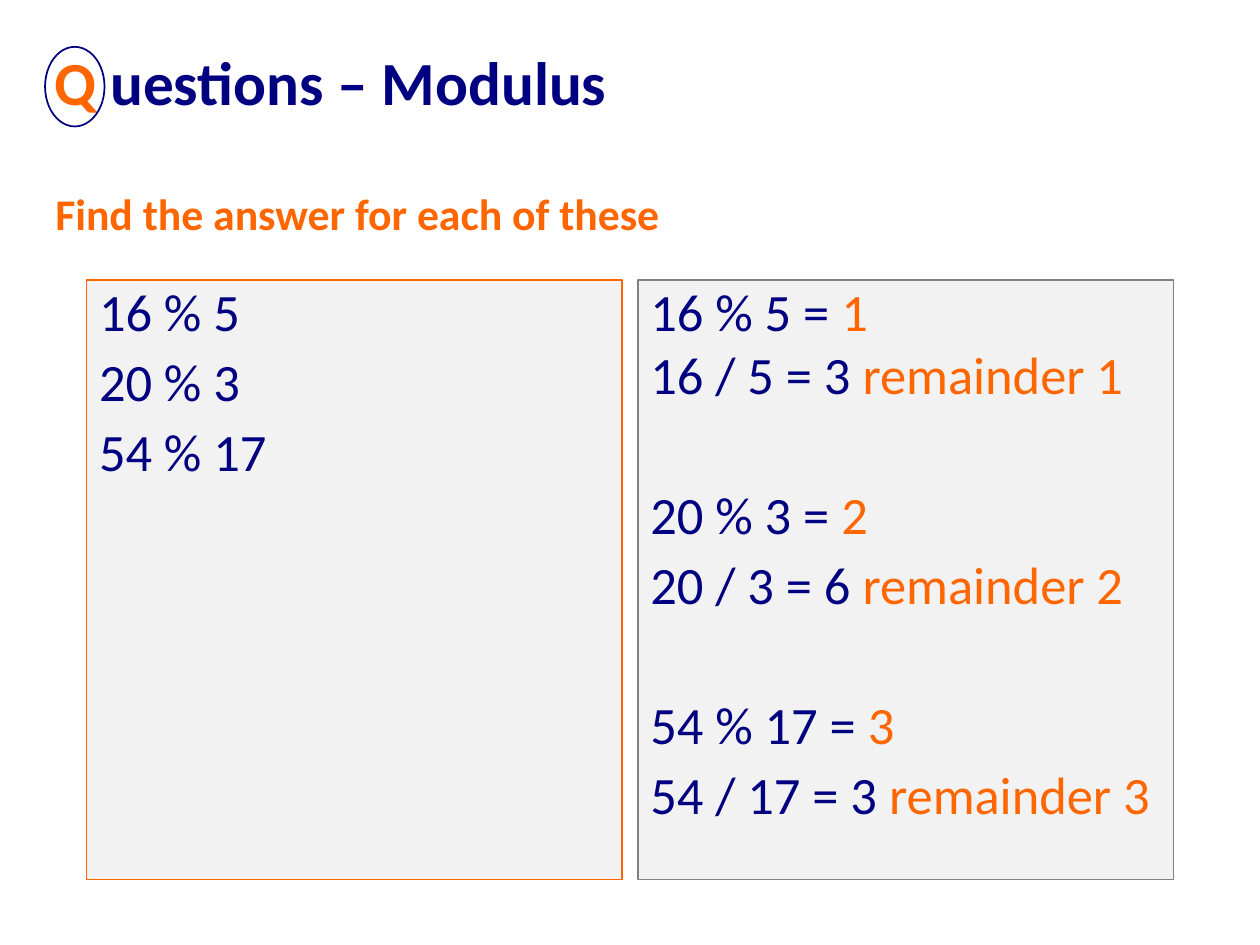
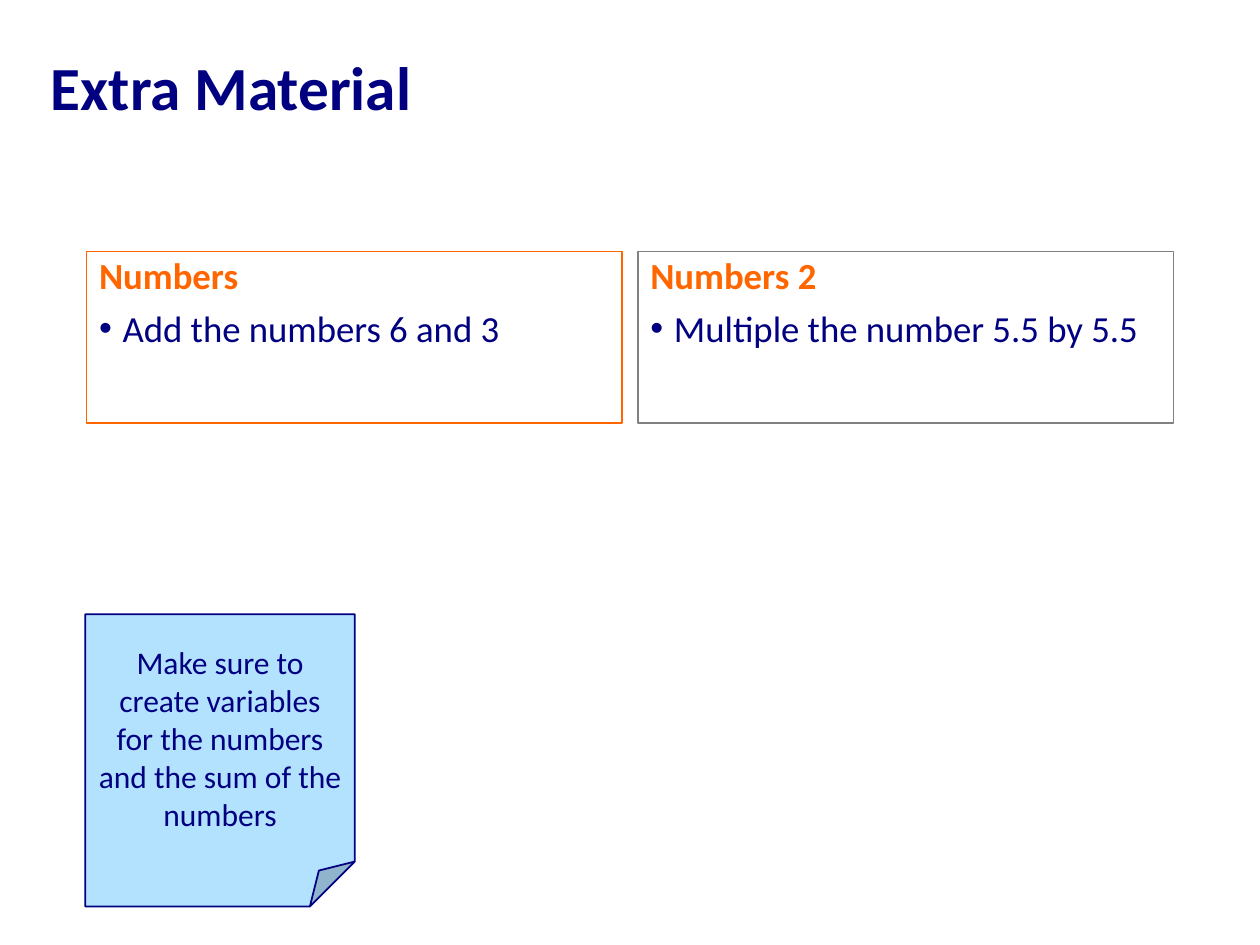
from dataclasses import dataclass
from typing import Any, NamedTuple, Optional

from lxml.etree import SubElement
from pptx import Presentation
from pptx.dml.color import RGBColor
from pptx.enum.shapes import MSO_SHAPE
from pptx.enum.text import MSO_ANCHOR, MSO_AUTO_SIZE, PP_ALIGN
from pptx.oxml.ns import qn
from pptx.util import Pt


@dataclass(frozen=True)
class Theme:
    font: str = "Calibri"
    navy: str = "000080"
    orange: str = "FF6600"
    grey: str = "808080"
    panel: str = "F2F2F2"
    note: str = "B3E2FF"
    title_size: float = 35
    sum_size: float = 30
    prompt_size: float = 25
    task_size: float = 21
    note_size: float = 18
    line_spacing: float = 0.9
    tight: float = 3.8
    gap: float = 7.5
    block_gap: float = 47.5
    bullet_indent: float = 13.5


THEME = Theme()


class Box(NamedTuple):
    left: float
    top: float
    width: float
    height: float

    def lengths(self) -> list[Pt]:
        return [Pt(v) for v in self]


class Run(NamedTuple):
    text: str
    color: str = THEME.navy
    bold: bool = False


class Para(NamedTuple):
    runs: list[Run]
    before: float = 0
    bullet: bool = False
    spacing: Optional[float] = THEME.line_spacing
    align: PP_ALIGN = PP_ALIGN.LEFT


class Panel(NamedTuple):
    paras: list[Para]
    line: str


PANEL_LEFT, PANEL_WIDTH, PANEL_STEP = 49.5, 306, 315


def set_all(target: Any, values: dict[str, Any]) -> None:
    for name, value in values.items():
        setattr(target, name, value)


def add_bullet(p: Any) -> None:
    pPr = p._p.get_or_add_pPr()
    indent = Pt(THEME.bullet_indent)
    pPr.set("marL", str(indent))
    pPr.set("indent", str(-indent))
    SubElement(pPr, qn("a:buFont")).set("typeface", "Arial")
    SubElement(pPr, qn("a:buChar")).set("char", "•")


def write(sp: Any, paras: list[Para], size: float, **frame: Any) -> None:
    tf = sp.text_frame
    set_all(tf, {"word_wrap": True, "vertical_anchor": MSO_ANCHOR.TOP} | frame)
    for i, para in enumerate(paras):
        p = tf.add_paragraph() if i else tf.paragraphs[0]
        if para.bullet:
            add_bullet(p)
        set_all(p, {"alignment": para.align, "line_spacing": para.spacing,
                    "space_before": Pt(para.before)})
        for run in para.runs:
            r = p.add_run()
            r.text = run.text
            set_all(r.font, {"name": THEME.font, "size": Pt(size), "bold": run.bold})
            r.font.color.rgb = RGBColor.from_string(run.color)


def add_shape(slide: Any, kind: MSO_SHAPE, box: Box, line: str,
              weight: float, fill: Optional[str] = None) -> Any:
    sp = slide.shapes.add_shape(kind, *box.lengths())
    sp.shadow.inherit = False
    if fill:
        sp.fill.solid()
        sp.fill.fore_color.rgb = RGBColor.from_string(fill)
    else:
        sp.fill.background()
    sp.line.color.rgb = RGBColor.from_string(line)
    sp.line.width = Pt(weight)
    return sp


def add_title(slide: Any, box: Box, runs: list[Run]) -> None:
    sp = slide.shapes.add_textbox(*box.lengths())
    write(sp, [Para(runs)], THEME.title_size, vertical_anchor=MSO_ANCHOR.MIDDLE)


def add_panels(slide: Any, panels: list[Panel], top: float, height: float,
               size: float, fill: Optional[str] = None) -> None:
    """Draw equal panels side by side."""
    for i, panel in enumerate(panels):
        box = Box(PANEL_LEFT + i * PANEL_STEP, top, PANEL_WIDTH, height)
        sp = add_shape(slide, MSO_SHAPE.RECTANGLE, box, panel.line, 0.75, fill)
        write(sp, panel.paras, size)


def worked_answer(a: int, b: int, before: float, between: float) -> list[Para]:
    quotient, rest = divmod(a, b)
    return [
        Para([Run(f"{a} % {b} = "), Run(f"{rest}", THEME.orange)], before),
        Para([Run(f"{a} / {b} = {quotient} "),
              Run(f"remainder {rest}", THEME.orange)], between),
    ]


def task(heading: str, text: str) -> list[Para]:
    return [Para([Run(heading, THEME.orange, True)]),
            Para([Run(text)], THEME.gap, bullet=True)]


def modulus_slide(slide: Any) -> None:
    sums = [(16, 5), (20, 3), (54, 17)]
    questions, answers = [], []
    for i, (a, b) in enumerate(sums):
        questions.append(Para([Run(f"{a} % {b}")], THEME.gap if i else 0))
        answers += worked_answer(a, b, THEME.block_gap if i else 0,
                                 THEME.gap if i else THEME.tight)
    add_panels(slide, [Panel(questions, THEME.orange), Panel(answers, THEME.grey)],
               160, 342.5, THEME.sum_size, THEME.panel)
    add_title(slide, Box(24, 4, 648, 90),
              [Run("Q ", THEME.orange, True), Run("uestions – Modulus", bold=True)])
    add_shape(slide, MSO_SHAPE.OVAL, Box(25.75, 26.75, 34, 45.5), THEME.navy, 1)
    prompt = slide.shapes.add_textbox(*Box(24.5, 103, 363.5, 37.5).lengths())
    write(prompt,
          [Para([Run("Find the answer for each of these", THEME.orange, True)], spacing=None)],
          THEME.prompt_size, word_wrap=False, auto_size=MSO_AUTO_SIZE.SHAPE_TO_FIT_TEXT)


def extra_slide(slide: Any) -> None:
    add_title(slide, Box(22, 17, 519, 70), [Run("Extra Material", bold=True)])
    add_panels(slide, [
        Panel(task("Numbers", "Add the numbers 6 and 3"), THEME.orange),
        Panel(task("Numbers 2", "Multiple the number 5.5 by 5.5"), THEME.grey),
    ], 143.75, 98, THEME.task_size)
    note = add_shape(slide, MSO_SHAPE.FOLDED_CORNER, Box(48.75, 351, 154, 167),
                     THEME.navy, 1, THEME.note)
    text = "Make sure to create variables for the numbers and the sum of the numbers"
    write(note, [Para([Run(text)], spacing=None, align=PP_ALIGN.CENTER)],
          THEME.note_size, vertical_anchor=MSO_ANCHOR.MIDDLE)


def main() -> None:
    prs = Presentation()
    set_all(prs, {"slide_width": Pt(720), "slide_height": Pt(540)})
    for build in (modulus_slide, extra_slide):
        build(prs.slides.add_slide(prs.slide_layouts[6]))
    prs.save("out.pptx")


if __name__ == "__main__":
    main()
